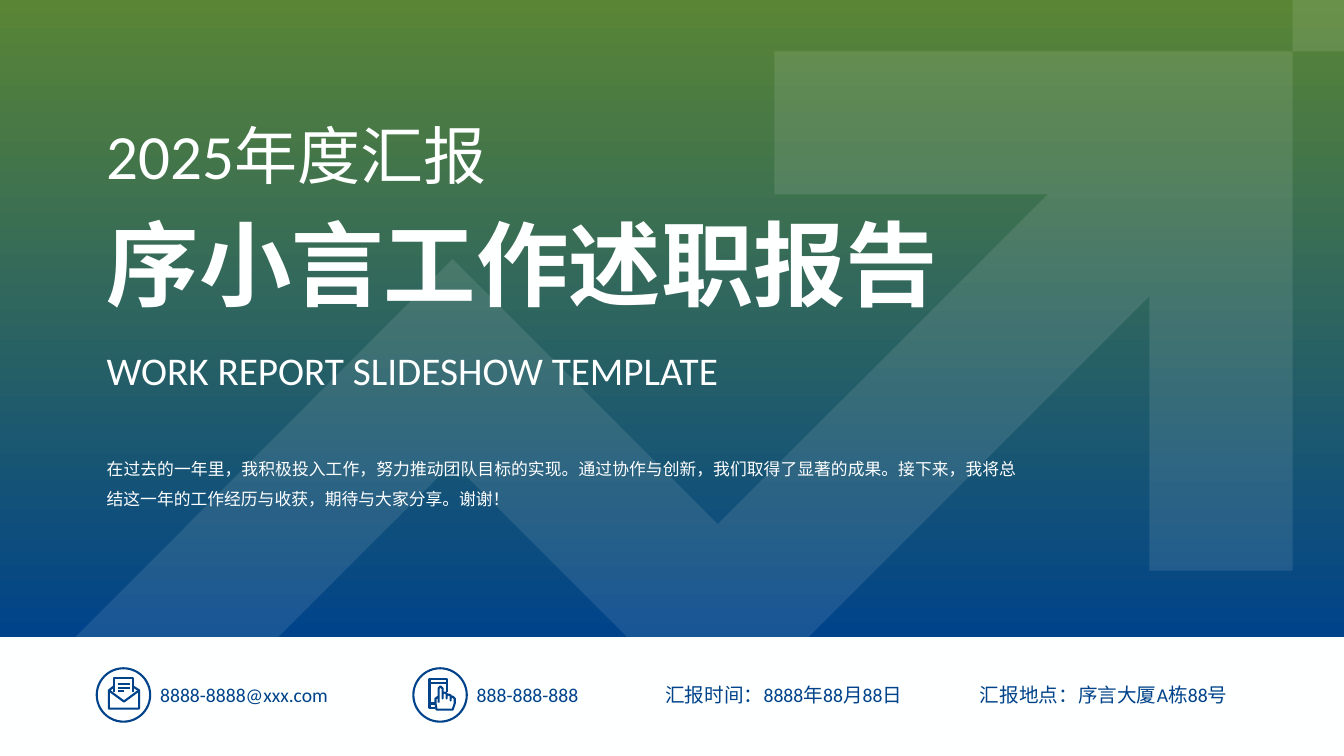
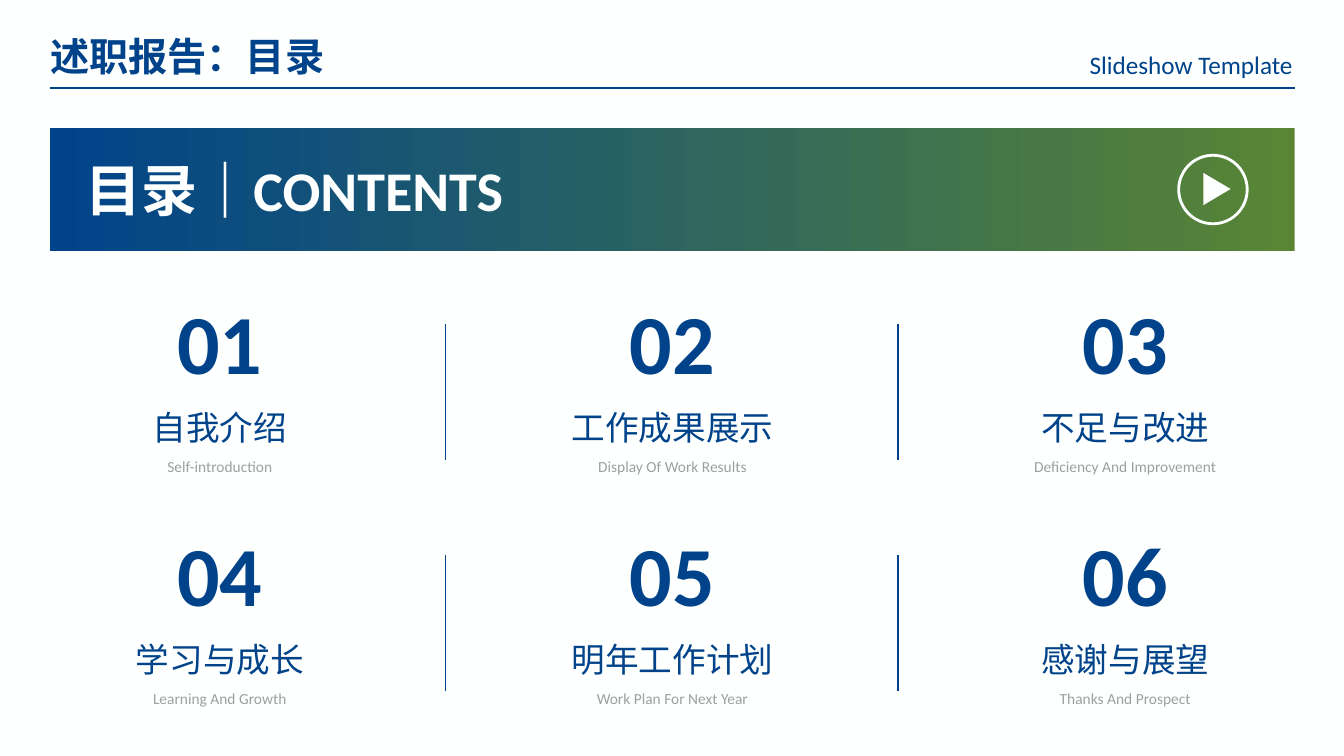
from lxml import etree
from pptx import Presentation
from pptx import util as u
from pptx.dml.color import RGBColor
from pptx.enum import shapes, text
from pptx.oxml.ns import qn

PX = 9144  # 100 px to the inch
WIDTH, HEIGHT = 1333, 750
FONT = "Calibri"
WHITE = RGBColor(0xFE, 0xFF, 0xFF)
BLUE = RGBColor(0x00, 0x43, 0x8A)
GREEN = RGBColor(0x59, 0x85, 0x35)
GRAY = RGBColor(0x9E, 0xA0, 0xA0)
SHAPE = shapes.MSO_SHAPE
ALIGN = text.PP_ALIGN

ARROW = [(768, 51), (768, 193), (1039, 193), (712, 520), (449, 257),
         (0, 707), (0, 750), (158, 750), (449, 459), (712, 722),
         (1140, 294), (1140, 566), (1282, 566), (1282, 51), (768, 51)]
ENVELOPE = [
    [(108, 685), (108, 703), (138, 703), (138, 685), (123, 696), (108, 685),
     (113, 681)],
    [(113, 687), (113, 673), (132, 673), (132, 687)],
    [(132, 681), (138, 685)],
    [(117, 679), (129, 679)],
    [(117, 683), (129, 683)],
    [(117, 686), (123, 686)],
]
PHONE = [
    [(431, 702), (426, 702), (426, 674), (443, 674), (443, 687)],
    [(426, 678), (443, 678)],
    [(426, 698), (431, 698)],
    [(435, 697), (435, 683), (437, 681), (439, 683), (439, 693), (439, 688),
     (441, 687), (443, 688), (443, 693), (443, 690), (445, 689), (447, 690),
     (447, 695), (447, 692), (449, 691), (451, 693), (451, 698), (449, 704),
     (433, 704), (432, 698), (432, 693), (435, 691)],
]
CHAPTERS = [
    ("自我介绍", "Self-introduction"),
    ("工作成果展示", "Display Of Work Results"),
    ("不足与改进", "Deficiency And Improvement"),
    ("学习与成长", "Learning And Growth"),
    ("明年工作计划", "Work Plan For Next Year"),
    ("感谢与展望", "Thanks And Prospect"),
]


def px(*lengths):
    return [u.Emu(length * PX) for length in lengths]


def style(sp, fill=None, line=None, weight=1.5, opacity=None):
    sp.shadow.inherit = False
    if fill is None:
        sp.fill.background()
    else:
        sp.fill.solid()
        sp.fill.fore_color.rgb = fill
    if line is None:
        sp.line.fill.background()
    else:
        sp.line.color.rgb = line
        sp.line.width = u.Pt(weight)
    if opacity is not None:
        color = sp._element.spPr.find(qn("a:solidFill")).find(qn("a:srgbClr"))
        etree.SubElement(color, qn("a:alpha")).set("val", str(opacity * 1000))
    return sp


def add_preset(parent, kind, box, **look):
    return style(parent.shapes.add_shape(kind, *px(*box)), **look)


def add_gradient(s, box, angle):
    """Green to blue; the angle runs counter-clockwise from left to right."""
    fill = add_preset(s, SHAPE.RECTANGLE, box).fill
    fill.gradient()
    fill.gradient_angle = angle
    for stop, color in zip(fill.gradient_stops, (GREEN, BLUE)):
        stop.color.rgb = color


def add_outline(parent, strokes, **look):
    """Draw several polylines as one freeform."""
    builder = parent.shapes.build_freeform(*strokes[0][0], scale=PX)
    for stroke in strokes:
        if stroke is not strokes[0]:
            builder.move_to(*stroke[0])
        builder.add_line_segments(stroke[1:], close=stroke[0] == stroke[-1])
    return style(builder.convert_to_shape(), **look)


def add_line(s, x1, y1, x2, y2, weight):
    line = s.shapes.add_connector(shapes.MSO_CONNECTOR.STRAIGHT,
                                  *px(x1, y1, x2, y2))
    line.line.color.rgb = BLUE
    line.line.width = u.Pt(weight)
    etree.SubElement(line._element.spPr, qn("a:effectLst"))


def add_text(parent, box, words, size, color=BLUE, bold=False,
             align=ALIGN.LEFT, spacing=None):
    tf = parent.shapes.add_textbox(*px(*box)).text_frame
    tf.word_wrap = True
    tf.auto_size = text.MSO_AUTO_SIZE.SHAPE_TO_FIT_TEXT
    p = tf.paragraphs[0]
    p.text = words
    p.alignment = align
    p.line_spacing = spacing
    p.font.name = FONT
    p.font.size = u.Pt(size)
    p.font.bold = bold
    p.font.color.rgb = color


def add_contact(s, x, width, icon, words):
    group = s.shapes.add_group_shape()
    add_outline(group, icon, line=BLUE)
    add_text(group, (x + 53, 673, width, 34), words, 14)
    add_preset(group, SHAPE.OVAL, (x, 663, 53, 53), line=BLUE)


def add_header(s, title, label):
    add_text(s, (40, 27, 297, 57), title, 28, bold=True)
    add_text(s, (1014, 44, 278, 40), label, 18, align=ALIGN.RIGHT)
    add_line(s, 50, 87, 1284, 87, 1.5)


def add_chapter(s, x, y, number, title, caption):
    add_text(s, (x + 43, y, 182, 111), f"{number:02}", 60, bold=True,
             align=ALIGN.CENTER)
    add_text(s, (x, y + 116, 268, 50), title, 24, align=ALIGN.CENTER)
    add_text(s, (x, y + 160, 268, 35), caption, 11, GRAY,
             align=ALIGN.CENTER, spacing=u.Pt(17))


def build_cover(s):
    add_gradient(s, (0, 0, WIDTH, 632), 270)
    add_outline(s, [ARROW], fill=WHITE, opacity=10)
    add_preset(s, SHAPE.RECTANGLE, (1282, 0, 51, 51), fill=WHITE, opacity=10)
    add_text(s, (96, 111, 468, 86), "2025年度汇报", 45, WHITE)
    add_text(s, (96, 315, 955, 74), "WORK REPORT SLIDESHOW TEMPLATE", 28,
             WHITE, align=ALIGN.JUSTIFY, spacing=1.5)
    add_text(s, (96, 201, 894, 121), "序小言工作述职报告", 66, WHITE, bold=True)
    add_text(s, (96, 440, 923, 68),
             "在过去的一年里，我积极投入工作，努力推动团队目标的实现。"
             "通过协作与创新，我们取得了显著的成果。接下来，我将总结这一年的"
             "工作经历与收获，期待与大家分享。谢谢！",
             12, WHITE, align=ALIGN.JUSTIFY, spacing=1.5)

    add_preset(s, SHAPE.RECTANGLE, (0, 632, WIDTH, 118), fill=WHITE)
    add_contact(s, 96, 212, ENVELOPE, "8888-8888@xxx.com")
    add_contact(s, 410, 138, PHONE, "888-888-888")
    add_text(s, (650, 673, 264, 34), "汇报时间：8888年88月88日", 14)
    add_text(s, (962, 673, 268, 34), "汇报地点：序言大厦A栋88号", 14)


def build_contents(s):
    add_gradient(s, (50, 127, 1234, 122), 180)
    add_header(s, "述职报告：目录", "Slideshow Template")
    add_text(s, (75, 149, 472, 77), "目录｜CONTENTS", 40, WHITE, bold=True)
    add_preset(s, SHAPE.OVAL, (1169, 154, 68, 68), line=WHITE, weight=2)
    play = add_preset(s, SHAPE.ISOSCELES_TRIANGLE, (1191, 174, 32, 27),
                      fill=WHITE)
    play.rotation = 90

    columns, column_step, row_step = 3, 449, 230
    for i, (title, caption) in enumerate(CHAPTERS):
        row, column = divmod(i, columns)
        x, y = 84 + column * column_step, 283 + row * row_step
        add_chapter(s, x, y, i + 1, title, caption)
        if column < columns - 1:
            add_line(s, x + 358, y + 38, x + 358, y + 173, 1.25)


def main():
    prs = Presentation()
    prs.slide_width, prs.slide_height = px(WIDTH, HEIGHT)
    background = prs.slide_master.background.fill
    background.solid()
    background.fore_color.rgb = WHITE
    for build in (build_cover, build_contents):
        build(prs.slides.add_slide(prs.slide_layouts[6]))
    prs.save("out.pptx")


if __name__ == "__main__":
    main()
